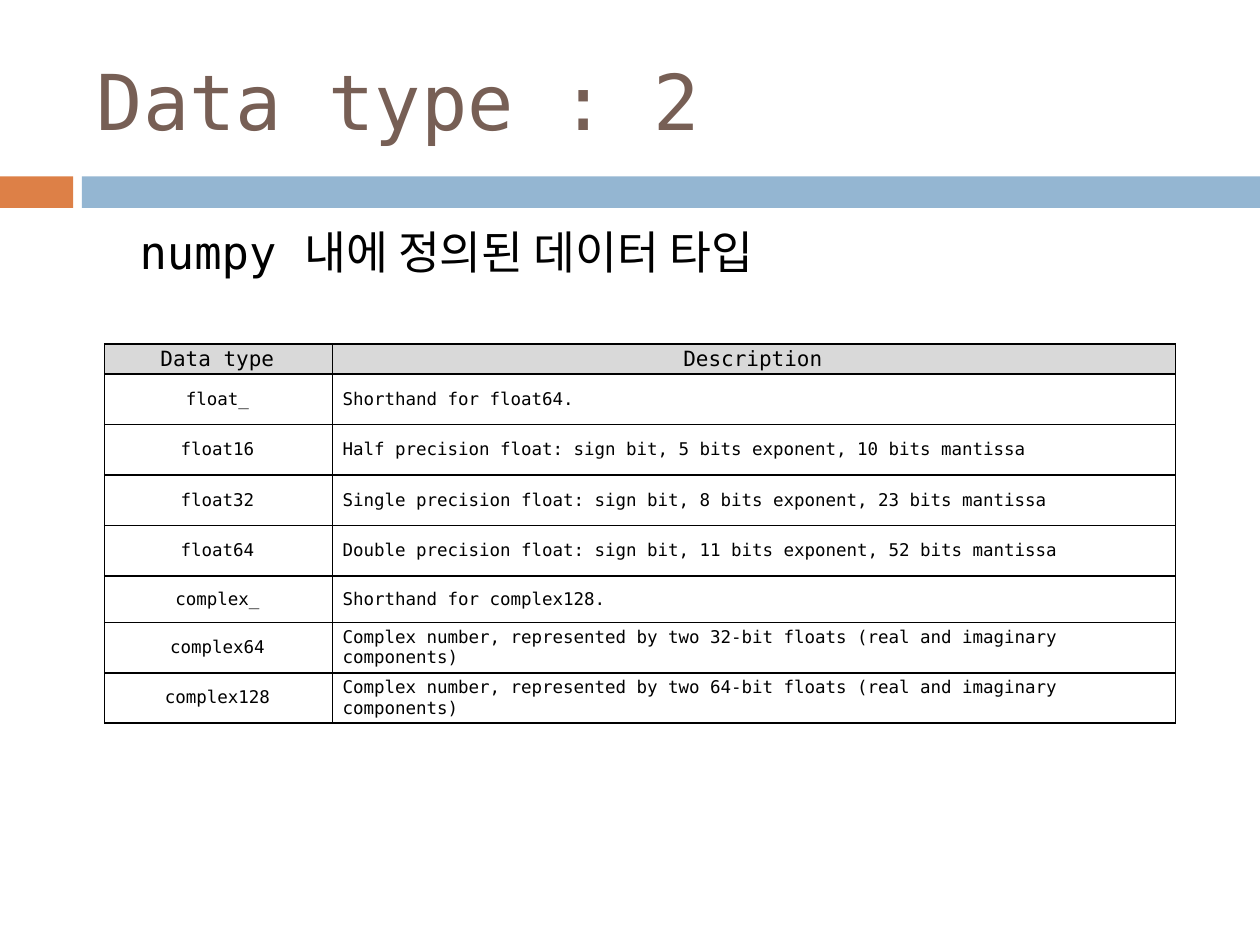
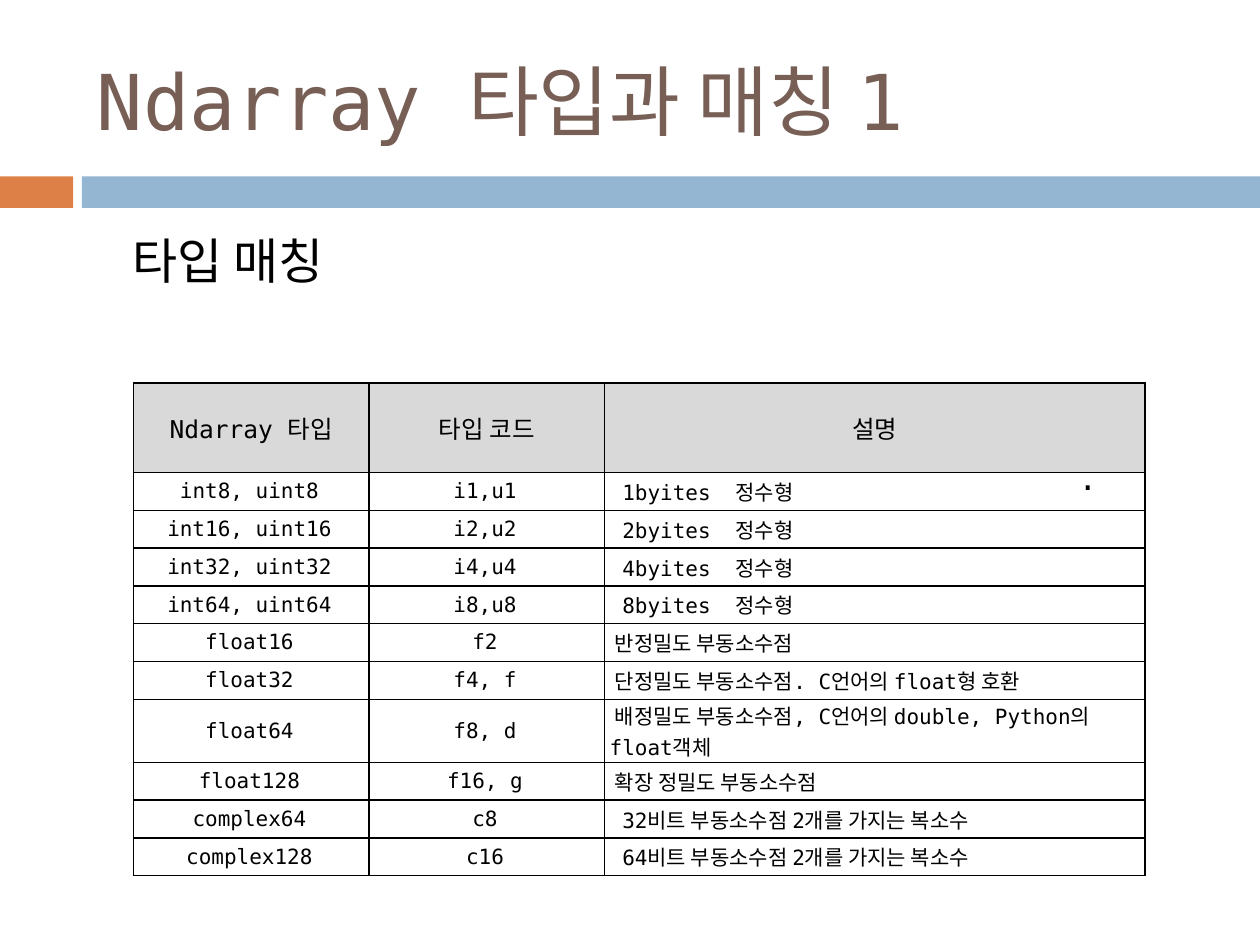
import dataclasses
import typing

import lxml.etree
import pptx
import pptx.dml.color
import pptx.enum.shapes
import pptx.enum.text
import pptx.oxml.ns
import pptx.util

COLS, ROWS = 100, 75
WIDTH, HEIGHT = pptx.util.Inches(10), pptx.util.Inches(7.5)
FONT = "DejaVu Sans Mono"
HUES = {
    "title": "775F55",
    "text": "000000",
    "accent": "DD8047",
    "band": "94B6D2",
    "head": "D9D9D9",
    "cell": "FFFFFF",
}
ALIGN = pptx.enum.text.PP_ALIGN
ANCHOR = pptx.enum.text.MSO_ANCHOR


class Box(typing.NamedTuple):
    left: float
    top: float
    width: float
    height: float


class Pad(typing.NamedTuple):
    left: float
    top: float
    right: float
    low: float


class Band(typing.NamedTuple):
    box: Box
    hue: str


@dataclasses.dataclass
class Label:
    text: str
    box: Box
    size: int
    hue: str = "text"
    anchor: ANCHOR = ANCHOR.TOP
    indent: float = 0


@dataclasses.dataclass
class Grid:
    box: Box
    cols: list[float]
    rows: list[float]
    cells: list[tuple[str, ...]]
    sizes: tuple[int, int]
    head: Pad
    body: Pad
    note: Pad
    leads: tuple[float, float] = (0, 0)
    tab: float = 0


@dataclasses.dataclass
class Page:
    title: str
    topic: Label
    grid: Grid
    marks: list[Label] = dataclasses.field(default_factory=list)


BANDS = [
    Band(Box(0, 14, 5.8, 2.5), "accent"),
    Band(Box(6.5, 14, 93.5, 2.5), "band"),
]
TITLE = Box(6.7, 2.5, 89.2, 10.8)
THIN = Pad(0.2, 0, 0.4, 0)
SLIM = Pad(0.4, 0.1, 0.7, 0.1)

FLOATS = [
    ("Data type", "Description"),
    ("float_", "Shorthand for float64."),
    ("float16", "Half precision float: sign bit, 5 bits exponent, 10 bits mantissa"),
    ("float32", "Single precision float: sign bit, 8 bits exponent, 23 bits mantissa"),
    ("float64", "Double precision float: sign bit, 11 bits exponent, 52 bits mantissa"),
    ("complex_", "Shorthand for complex128."),
    ("complex64", "Complex number, represented by two 32-bit floats (real and imaginary components)"),
    ("complex128", "Complex number, represented by two 64-bit floats (real and imaginary components)"),
]
CODES = [
    ("Ndarray 타입", "타입 코드", "설명"),
    *[(f"int{8 * n}, uint{8 * n}", f"i{n},u{n}", f"{n}byites\t정수형") for n in (1, 2, 4, 8)],
    ("float16", "f2", "반정밀도 부동소수점"),
    ("float32", "f4, f", "단정밀도 부동소수점. C언어의 float형 호환"),
    ("float64", "f8, d", "배정밀도 부동소수점, C언어의 double, Python의 float객체"),
    ("float128", "f16, g", "확장 정밀도 부동소수점"),
    ("complex64", "c8", "32비트 부동소수점 2개를 가지는 복소수"),
    ("complex128", "c16", "64비트 부동소수점 2개를 가지는 복소수"),
]

PAGES = [
    Page(
        "Data type : 2",
        Label("numpy 내에 정의된 데이터 타입", Box(5.1, 17.3, 90, 14.7), 26, indent=5),
        Grid(
            Box(8.3, 27.3, 85, 30.1),
            [18.1, 66.9],
            [2.4, 4, 4, 4, 4, 3.7, 4, 4],
            FLOATS,
            (12, 10),
            THIN,
            THIN,
            THIN._replace(left=0.8),
        ),
    ),
    Page(
        "Ndarray 타입과 매칭 1",
        Label("타입 매칭", Box(5, 17.8, 90, 9.4), 28, indent=4.5),
        Grid(
            Box(10.6, 30.4, 80.3, 39.1),
            [18.7, 18.7, 42.9],
            [7.1] + [3] * 6 + [5] + [3] * 3,
            CODES,
            (14, 12),
            Pad(0.4, 0.2, 0.4, 0.2),
            SLIM,
            SLIM,
            leads=(0.4, 1),
            tab=10.9,
        ),
        [Label(".", Box(84.6, 35.9, 15.4, 4), 18)],
    ),
]


def across(cols: float) -> int:
    return round(WIDTH * cols / COLS)


def down(rows: float) -> int:
    return round(HEIGHT * rows / ROWS)


def place(box: Box) -> tuple[int, int, int, int]:
    return across(box.left), down(box.top), across(box.width), down(box.height)


def tint(hue: str) -> pptx.dml.color.RGBColor:
    return pptx.dml.color.RGBColor.from_string(HUES[hue])


def node(root: typing.Any, tag: str, **attrs: str) -> typing.Any:
    return lxml.etree.SubElement(root, pptx.oxml.ns.qn(tag), attrs)


def write(para: typing.Any, text: str, size: int, hue: str = "text") -> None:
    run = para.add_run()
    run.text = text
    run.font.name = FONT
    run.font.size = pptx.util.Pt(size)
    run.font.bold = False
    run.font.color.rgb = tint(hue)


def draw_band(slide: typing.Any, band: Band) -> None:
    kind = pptx.enum.shapes.MSO_SHAPE.RECTANGLE
    shape = slide.shapes.add_shape(kind, *place(band.box))
    shape.shadow.inherit = False
    shape.fill.solid()
    shape.fill.fore_color.rgb = tint(band.hue)
    shape.line.fill.background()


def draw_label(slide: typing.Any, label: Label) -> None:
    frame = slide.shapes.add_textbox(*place(label.box)).text_frame
    frame.word_wrap = True
    frame.vertical_anchor = label.anchor
    para = frame.paragraphs[0]
    para._p.get_or_add_pPr().set("marL", str(across(label.indent)))
    write(para, label.text, label.size, label.hue)


def frame_cell(cell: typing.Any, hue: str) -> None:
    props = cell._tc.get_or_add_tcPr()
    for side in ("a:lnL", "a:lnR", "a:lnT", "a:lnB"):
        line = node(props, side, w=str(pptx.util.Pt(1)))
        node(node(line, "a:solidFill"), "a:srgbClr", val=HUES["text"])
    cell.fill.solid()
    cell.fill.fore_color.rgb = tint(hue)


def pad_cell(cell: typing.Any, pad: Pad) -> None:
    cell.margin_left, cell.margin_right = across(pad.left), across(pad.right)
    cell.margin_top, cell.margin_bottom = down(pad.top), down(pad.low)
    cell.vertical_anchor = ANCHOR.MIDDLE


def draw_grid(slide: typing.Any, grid: Grid) -> None:
    shape = slide.shapes.add_table(len(grid.rows), len(grid.cols), *place(grid.box))
    table = shape.table
    table.first_row = table.horz_banding = False
    for col, width in zip(table.columns, grid.cols):
        col.width = across(width)
    for row, height in zip(table.rows, grid.rows):
        row.height = down(height)
    for r, texts in enumerate(grid.cells):
        for c, text in enumerate(texts):
            cell = table.cell(r, c)
            head = r == 0
            note = not head and c == len(texts) - 1
            frame_cell(cell, "head" if head else "cell")
            pad_cell(cell, grid.head if head else grid.note if note else grid.body)
            para = cell.text_frame.paragraphs[0]
            para.alignment = ALIGN.LEFT if note else ALIGN.CENTER
            if note:
                props = para._p.get_or_add_pPr()
                props.set("marL", "0")
                props.set("indent", str(across(grid.leads[text[0].isdigit()])))
                if "\t" in text:
                    stops = node(props, "a:tabLst")
                    node(stops, "a:tab", pos=str(across(grid.tab)), algn="l")
            write(para, text, grid.sizes[0 if head else 1])


def draw_page(deck: typing.Any, page: Page) -> None:
    slide = deck.slides.add_slide(deck.slide_layouts[6])
    for band in BANDS:
        draw_band(slide, band)
    draw_label(slide, Label(page.title, TITLE, 44, "title", ANCHOR.MIDDLE))
    draw_label(slide, page.topic)
    draw_grid(slide, page.grid)
    for mark in page.marks:
        draw_label(slide, mark)


def main() -> None:
    deck = pptx.Presentation()
    deck.slide_width, deck.slide_height = WIDTH, HEIGHT
    for page in PAGES:
        draw_page(deck, page)
    deck.save("out.pptx")


if __name__ == "__main__":
    main()
